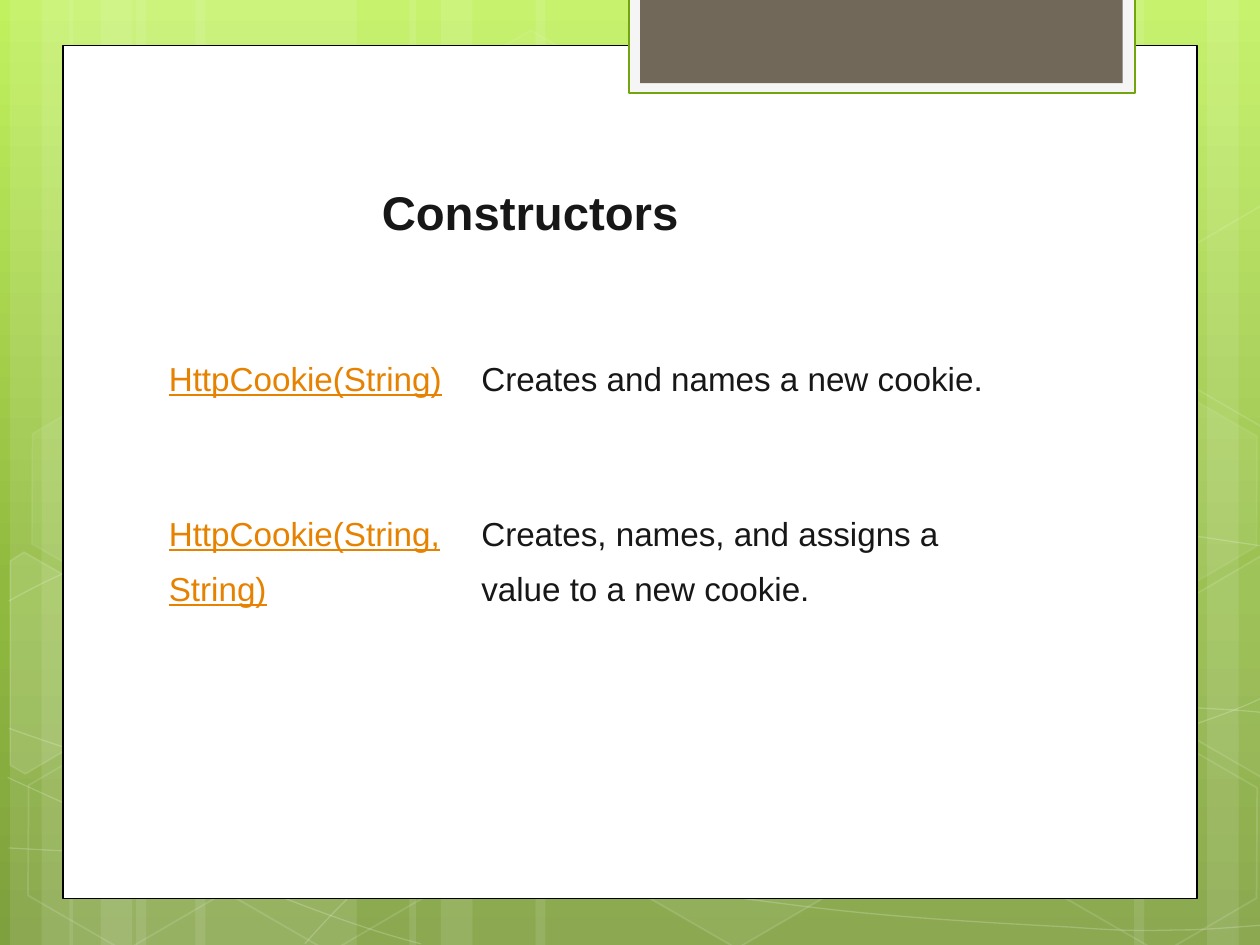
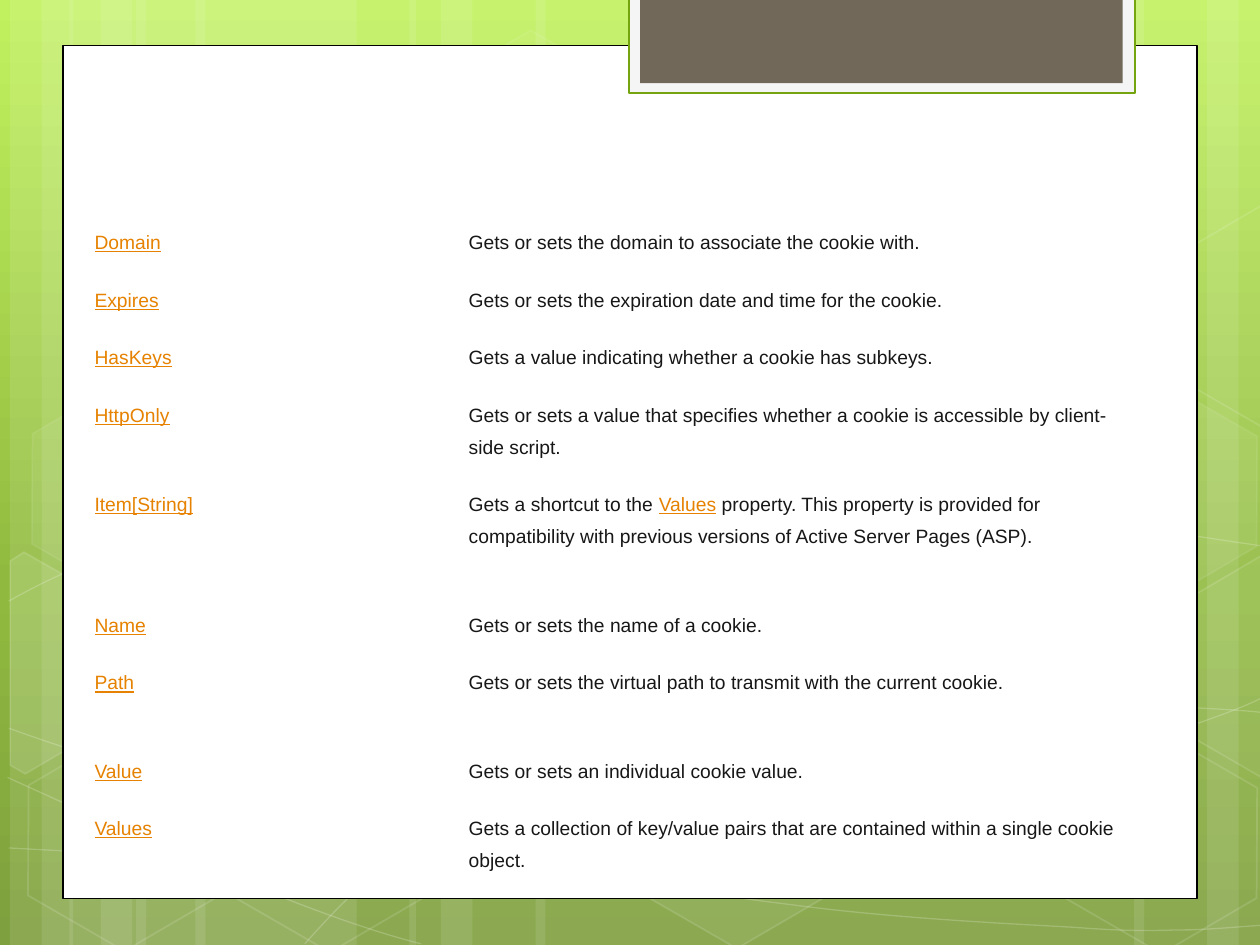
"""Build two slides on the constructors and properties of HttpCookie."""
from copy import deepcopy
from math import cos, radians, sin

from pptx import Presentation
from pptx.dml.color import RGBColor as RGB
from pptx.enum.shapes import MSO_SHAPE as Form
from pptx.enum.text import MSO_ANCHOR as Anchor, MSO_AUTO_SIZE as Auto, PP_ALIGN as Align
from pptx.oxml.ns import qn
from pptx.util import Inches, Pt

WHITE = RGB(0xFF, 0xFF, 0xFF)
BLACK = RGB(0x00, 0x00, 0x00)
PALE = RGB(0xF5, 0xF5, 0xF5)
GREEN = RGB(0x74, 0xA5, 0x0F)
BROWN = RGB(0x71, 0x68, 0x5A)
ORANGE = RGB(0xE6, 0x82, 0x00)
INK = RGB(0x17, 0x17, 0x17)
STOPS = [(0, RGB(0xC1, 0xF1, 0x5E)), (0.62, RGB(0x90, 0xBA, 0x3F)), (1, RGB(0x7F, 0xA0, 0x3E))]
SIDES = ("left", "right", "top", "bottom")
TILT = 30


def paint(shape, fill=None, alpha=100, line=None, width=1, fade=100):
    """Set fill and line, each with its opacity in percent."""
    shape.shadow.inherit = False
    shape.line.width = Pt(width)
    for part, color, share, trail in ((shape.fill, fill, alpha, "a:solidFill"),
                                      (shape.line.fill, line, fade, "a:ln/a:solidFill")):
        if color is None:
            part.background()
            continue
        part.solid()
        part.fore_color.rgb = color
        if share < 100:
            tint = shape.element.xpath(f"p:spPr/{trail}/a:srgbClr")[0]
            tint.append(tint.makeelement(qn("a:alpha"), {"val": str(share * 1000)}))


def write(para, text, color, **look):
    """Add one run with the given font values."""
    run = para.add_run()
    run.text = text
    run.font.color.rgb = color
    for key, value in {"name": "Arial", "bold": False, **look}.items():
        setattr(run.font, key, value)


deck = Presentation()
deck.slide_width, deck.slide_height = Inches(10), Inches(7.5)
master = deck.slide_master

back = master.background.fill
back.gradient()
back.gradient_angle = 270
stops = master.element.xpath(".//p:bg//a:gsLst")[0]
stops.append(deepcopy(stops[-1]))
for stop, (place, color) in zip(back.gradient_stops, STOPS):
    stop.position = place
    stop.color.rgb = color

first = deck.slides.add_slide(deck.slide_layouts[5])
shapes = first.shapes

BANDS = [(1.08, 1.75), (0.08, 0.5), (0.33, 0.83), (1.55, 1.75), (0.55, 0.5), (0.8, 0.83),
         (7.33, 1.75), (9.58, 0.5), (9, 0.83), (4.25, 3.08), (3.25, 0.5), (3.5, 0.83)]
for left, width in BANDS:
    band = shapes.add_shape(Form.RECTANGLE, Inches(left), 0, Inches(width), Inches(7.5))
    band.rotation = 180 if left >= 7 else 0
    paint(band, WHITE, 10)

CURVES = [
    [(0.07, 6.73), (0.61, 6.76), (1.15, 6.79), (1.9, 6.78), (2.65, 6.77), (3.58, 6.75), (4.58, 6.65),
     (5.58, 6.55), (7, 6.36), (7.92, 6.17), (8.83, 5.98), (9.77, 5.68), (10.07, 5.51)],
    [(0.07, 4.77), (0.36, 4.61), (0.65, 4.46), (1.21, 4.31), (1.78, 4.16), (2.59, 3.94), (3.47, 3.87),
     (4.36, 3.8), (5.44, 3.79), (6.54, 3.87), (7.64, 3.95), (9.47, 4.26), (10.07, 4.34)],
    [(0.06, 6.17), (1.27, 6.72), (2.47, 7.27), (3.34, 7.49)],
    [(0.07, 5.78), (0.38, 5.89), (0.7, 6), (1.28, 6.16), (1.86, 6.31), (2.73, 6.56), (3.57, 6.73),
     (4.4, 6.9), (5.45, 7.08), (6.28, 7.18), (7.11, 7.29), (8, 7.33), (8.53, 7.36),
     (9.05, 7.4), (9.19, 7.38), (9.45, 7.38), (9.71, 7.37), (9.89, 7.35), (10.07, 7.34)],
    [(2.42, 7.49), (2.6, 7.29), (2.78, 7.09), (3.02, 6.91), (3.26, 6.73), (3.6, 6.53), (3.88, 6.39),
     (4.16, 6.25), (4.33, 6.19), (4.7, 6.09), (5.06, 5.99), (5.73, 5.85), (6.08, 5.78),
     (6.44, 5.71), (6.49, 5.71), (6.8, 5.69), (7.11, 5.66), (7.6, 5.63), (7.94, 5.62),
     (8.29, 5.61), (8.86, 5.62), (8.86, 5.62), (9.08, 5.62), (9.31, 5.62), (9.53, 5.62),
     (9.71, 5.63), (9.88, 5.64), (9.97, 5.65), (10.06, 5.66), (10.03, 5.65), (10.06, 5.66)],
]
for knots in CURVES:
    dots = [tuple(map(Inches, knot)) for knot in knots]
    trace = shapes.build_freeform(*dots[0])
    trace.add_line_segments(dots[1:], close=False)
    curve = trace.convert_to_shape()
    legs = curve.element.xpath(".//a:lnTo")
    for i in range(0, len(legs), 3):
        bend = legs[i].makeelement(qn("a:cubicBezTo"), {})
        legs[i].addprevious(bend)
        for leg in legs[i:i + 3]:
            bend.append(leg[0])
            leg.getparent().remove(leg)
    paint(curve, line=WHITE, width=0.75, fade=20)

HEXES = [(3.34, 0.36, 4, 8), (4.97, 5.89, 6, 12), (0.11, 5.91, 0, 12), (0.14, 3.12, 7, 8),
         (1.74, 5.92, 0, 12), (7.53, 4.53, 10, 12), (8.34, 5.93, 0, 12), (8.34, 3.14, 7, 8)]
for left, top, alpha, fade in HEXES:
    cell = shapes.add_shape(Form.HEXAGON, Inches(left), Inches(top), Inches(1.75), Inches(1.52))
    cell.rotation = TILT
    cell.adjustments[0] = 0.285
    paint(cell, WHITE if alpha else None, alpha, WHITE, 1, fade)

CUTS = [
    (10, (0.36, 5.35), [(0.08, 4.45), (0.19, 4.38), (0.96, 4.82), (0.95, 5.7), (0.2, 6.14), (0.08, 6.07)]),
    (4, (9.85, 5.2), [(9.26, 4.85), (10.01, 4.41), (10.09, 4.46), (10.09, 6.13), (10.02, 6.17), (9.26, 5.73)]),
    (0, (9.85, 2.41), [(9.26, 2.07), (10.01, 1.63), (10.1, 1.68), (10.09, 3.35), (10.02, 3.39), (9.26, 2.95)]),
]
co, si = cos(radians(TILT)), sin(radians(TILT))
for alpha, (mx, my), knots in CUTS:
    dots = [(Inches(mx + (x - mx) * co + (y - my) * si), Inches(my - (x - mx) * si + (y - my) * co))
            for x, y in knots]
    trace = shapes.build_freeform(*dots[0])
    trace.add_line_segments(dots[1:])
    cut = trace.convert_to_shape()
    cut.rotation = TILT
    paint(cut, WHITE if alpha else None, alpha, WHITE, 1, 12)

PANELS = [((0.5, 0.36, 9, 6.77), WHITE, BLACK, 0.75),
          ((4.99, -0.02, 4.02, 0.76), PALE, GREEN, 1.25),
          ((5.08, -0.02, 3.83, 0.68), BROWN, None, 1)]
for box, fill, line, width in PANELS:
    panel = shapes.add_shape(Form.RECTANGLE, *map(Inches, box))
    paint(panel, fill, line=line, width=width)

decor = [shape for shape in shapes if not shape.is_placeholder]
for num, shape in enumerate(decor, 100):
    shape.element.xpath(".//p:cNvPr")[0].set("id", str(num))
    master.shapes.element.append(shape.element)

title = first.shapes.title
spot = {"left": 2.93, "top": 1.22, "width": 3.28, "height": 0.66}
for key, value in spot.items():
    setattr(title, key, Inches(value))
frame = title.text_frame
setup = {"word_wrap": True, "auto_size": Auto.NONE, "vertical_anchor": Anchor.TOP}
setup |= {f"margin_{side}": Inches(0.1) for side in SIDES}
for key, value in setup.items():
    setattr(frame, key, value)
para = frame.paragraphs[0]
space = {"alignment": Align.LEFT, "line_spacing": 1.3, "space_before": Pt(18), "space_after": Pt(4)}
for key, value in space.items():
    setattr(para, key, value)
write(para, "Constructors", INK, size=Pt(27), bold=True)

MAKERS = [
    (1.23, "HttpCookie(String)", "Creates and names a new cookie."),
    (1.21, "HttpCookie(String, String)", "Creates, names, and assigns a value to a new cookie."),
]
FIELDS = [
    (0.45, "Domain", "Gets or sets the domain to associate the cookie with."),
    (0.45, "Expires", "Gets or sets the expiration date and time for the cookie."),
    (0.45, "HasKeys", "Gets a value indicating whether a cookie has subkeys."),
    (0.7, "HttpOnly", "Gets or sets a value that specifies whether a cookie is accessible by client-side script."),
    (0.96, "Item[String]", "Gets a shortcut to the |Values| property. This property is provided for "
     "compatibility with previous versions of Active Server Pages (ASP)."),
    (0.45, "Name", "Gets or sets the name of a cookie."),
    (0.7, "Path", "Gets or sets the virtual path to transmit with the current cookie."),
    (0.45, "Value", "Gets or sets an individual cookie value."),
    (0.7, "Values", "Gets a collection of key/value pairs that are contained within a single cookie object."),
]
second = deck.slides.add_slide(deck.slide_layouts[6])
GRIDS = [(first, 1.24, 2.62, (2.48, 4.52), 19, MAKERS),
         (second, 0.65, 1.66, (2.97, 5.39), 11, FIELDS)]
for slide, left, top, widths, size, rows in GRIDS:
    tall = sum(row[0] for row in rows)
    box = map(Inches, (left, top, sum(widths), tall))
    table = slide.shapes.add_table(len(rows), 2, *box).table
    table.first_row = table.horz_banding = False
    for col, width in zip(table.columns, widths):
        col.width = Inches(width)
    for r, (height, name, about) in enumerate(rows):
        table.rows[r].height = Inches(height)
        for c, text in enumerate((f"|{name}", about)):
            cell = table.cell(r, c)
            cell.fill.solid()
            cell.fill.fore_color.rgb = WHITE
            for side in SIDES:
                setattr(cell, f"margin_{side}", Inches(0.1))
            para = cell.text_frame.paragraphs[0]
            para.line_spacing = 1.5
            for n, piece in enumerate(text.split("|")):
                if piece:
                    link = n % 2 == 1
                    write(para, piece, ORANGE if link else INK, size=Pt(size), underline=link)

deck.save("out.pptx")
